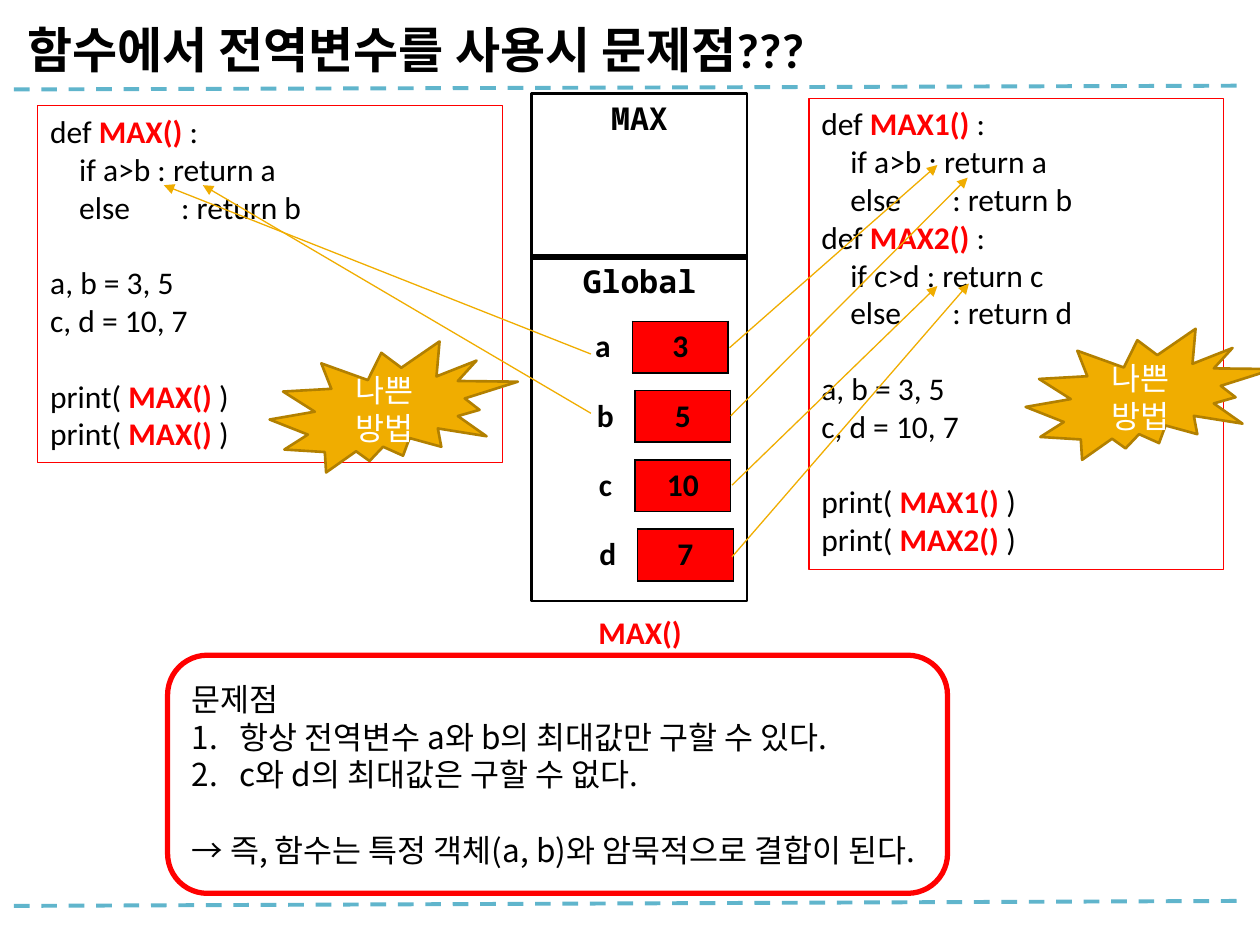
from lxml import etree
from pptx import Presentation
from pptx.dml.color import RGBColor
from pptx.enum.dml import MSO_LINE
from pptx.enum.shapes import MSO_CONNECTOR, MSO_SHAPE
from pptx.enum.text import MSO_ANCHOR, PP_ALIGN
from pptx.oxml.ns import qn
from pptx.util import Inches, Pt

TOP, MIDDLE, BOTTOM = MSO_ANCHOR.TOP, MSO_ANCHOR.MIDDLE, MSO_ANCHOR.BOTTOM
LEFT, CENTER = PP_ALIGN.LEFT, PP_ALIGN.CENTER
RECTANGLE, ROUNDED = MSO_SHAPE.RECTANGLE, MSO_SHAPE.ROUNDED_RECTANGLE
BURST = MSO_SHAPE.EXPLOSION2
STRAIGHT = MSO_CONNECTOR.STRAIGHT
DASH = MSO_LINE.DASH

COLORS = {
    "black": "000000", "white": "FFFFFF", "red": "FF0000",
    "rule": "60B5CC", "gold": "F0AD00", "gold_edge": "B28000",
}
BODY, MONO, KOREAN = "Calibri", "Noto Sans Mono", "Noto Sans CJK KR"
BLANK_LINE = Pt(21.6)


def color(name):
    return RGBColor.from_string(COLORS[name])


class SlideBuilder:
    def __init__(self, slide):
        self.slide = slide

    def style(self, paragraph, font=BODY, ink="black", bold=False, size=18, align=LEFT):
        paragraph.alignment = align
        paragraph.font.name = font
        paragraph.font.size = Pt(size)
        paragraph.font.bold = bold
        paragraph.font.color.rgb = color(ink)

    def fill_text(self, frame, lines, **style):
        paragraph, gap = frame.paragraphs[0], False
        for index, line in enumerate(lines):
            if not line:
                gap = True
                continue
            if index:
                paragraph = frame.add_paragraph()
            self.style(paragraph, **style)
            if gap:
                paragraph.space_before, gap = BLANK_LINE, False
            properties = paragraph._p.get_or_add_pPr()
            if line.startswith("# "):
                line = line[2:]
                properties.set("marL", str(Inches(0.38)))
                properties.set("indent", str(-Inches(0.38)))
                numbering = etree.Element(qn("a:buAutoNum"), type="arabicPeriod")
                properties.find(qn("a:defRPr")).addprevious(numbering)
            elif line.startswith(" "):
                line = line.strip()
                properties.set("marL", str(Inches(0.23)))
                if "\t" in line:
                    tabs = etree.Element(qn("a:tabLst"))
                    etree.SubElement(tabs, qn("a:tab"), pos=str(Inches(0.81)), algn="l")
                    properties.find(qn("a:defRPr")).addprevious(tabs)
            for position, piece in enumerate(line.split("*")):
                if piece:
                    run = paragraph.add_run()
                    run.text = piece
                    if position % 2:
                        run.font.bold = True
                        run.font.color.rgb = color("red")

    def title(self, text):
        title = self.slide.shapes.title
        title.left, title.top = Inches(0.12), Inches(0)
        title.width, title.height = Inches(9.76), Inches(0.67)
        title.text_frame.vertical_anchor = BOTTOM
        self.fill_text(title.text_frame, [text], size=28, bold=True)

    def box(self, kind, area, lines, edge, weight, fill=None, alpha=None, anchor=TOP, **style):
        shape = self.slide.shapes.add_shape(kind, *map(Inches, area))
        shape.shadow.inherit = False
        if fill:
            shape.fill.solid()
            shape.fill.fore_color.rgb = color(fill)
        else:
            shape.fill.background()
        if alpha:
            value = shape._element.spPr.find(".//" + qn("a:srgbClr"))
            etree.SubElement(value, qn("a:alpha"), val=str(alpha * 1000))
        shape.line.color.rgb = color(edge)
        shape.line.width = Pt(weight)
        shape.text_frame.word_wrap = True
        shape.text_frame.vertical_anchor = anchor
        self.fill_text(shape.text_frame, lines, **style)

    def label(self, area, text, **style):
        frame = self.slide.shapes.add_textbox(*map(Inches, area)).text_frame
        frame.word_wrap = True
        self.fill_text(frame, [text], **style)

    def line(self, start, end, ink, weight, dashed=False, arrow=False):
        connector = self.slide.shapes.add_connector(STRAIGHT, *map(Inches, start + end))
        connector.line.color.rgb = color(ink)
        connector.line.width = Pt(weight)
        if dashed:
            connector.line.dash_style = DASH
        if arrow:
            outline = connector._element.spPr.find(qn("a:ln"))
            etree.SubElement(outline, qn("a:tailEnd"), type="triangle")
        etree.SubElement(connector._element.spPr, qn("a:effectLst"))

    def borders(self, cell, sides):
        properties = cell._tc.get_or_add_tcPr()
        for index, side in enumerate("LRTB"):
            border = etree.Element(qn("a:ln" + side), w=str(Pt(1)))
            if side in sides:
                fill = etree.SubElement(border, qn("a:solidFill"))
                etree.SubElement(fill, qn("a:srgbClr"), val=COLORS["black"])
            else:
                etree.SubElement(border, qn("a:noFill"))
            properties.insert(index, border)

    def variable(self, left, top, name, value):
        area = map(Inches, (left, top, 1.23, 0.41))
        table = self.slide.shapes.add_table(1, 2, *area).table
        table.first_row = table.horz_banding = False
        table.columns[0].width, table.columns[1].width = Inches(0.47), Inches(0.76)
        name_cell, value_cell = table.cell(0, 0), table.cell(0, 1)
        name_cell.fill.background()
        value_cell.fill.solid()
        value_cell.fill.fore_color.rgb = color("red")
        for cell, text, sides in ((name_cell, name, "R"), (value_cell, value, "LRTB")):
            cell.margin_left = cell.margin_right = cell.margin_top = cell.margin_bottom = 0
            cell.vertical_anchor = MIDDLE
            self.fill_text(cell.text_frame, [text], bold=True, align=CENTER)
            self.borders(cell, sides)


def function(name, first, second):
    return [f"def *{name}() *:", f" if {first}>{second} : return {first}",
            f" else\t: return {second}"]


def program(functions, calls):
    prints = [f"print( *{name}() *)" for name in calls]
    return functions + ["", "a, b = 3, 5", "c, d = 10, 7", ""] + prints


def main():
    presentation = Presentation()
    presentation.slide_width, presentation.slide_height = Inches(10), Inches(7.5)
    slide = presentation.slides.add_slide(presentation.slide_layouts[5])
    builder = SlideBuilder(slide)

    for left_y, right_y in ((0.71, 0.68), (7.19, 7.15)):
        builder.line((0.11, left_y), (9.87, right_y), "rule", 2.25, dashed=True)
    builder.title("함수에서 전역변수를 사용시 문제점???")

    builder.box(RECTANGLE, (0.3, 0.84, 3.69, 2.83),
                program(function("MAX", "a", "b"), ["MAX", "MAX"]), "red", 0.75)
    for name, top, height in (("Global", 2.03, 2.74), ("MAX", 0.74, 1.31)):
        builder.box(RECTANGLE, (4.22, top, 1.71, height), [name], "black", 1.5,
                    font=MONO, bold=True, align=CENTER)
    variables = ((4.55, "a", "3"), (4.57, "b", "5"), (4.57, "c", "10"), (4.59, "d", "7"))
    for row, (left, name, value) in enumerate(variables):
        builder.variable(left, 2.55 + 0.55 * row, name, value)
    builder.label((4.53, 4.82, 1.1, 0.4), "MAX()", ink="red", bold=True, align=CENTER)

    builder.box(ROUNDED, (1.33, 5.2, 6.19, 1.89),
                ["문제점", "# 항상 전역변수 a와 b의 최대값만 구할 수 있다.",
                 "# c와 d의 최대값은 구할 수 없다.", "",
                 "→ 즉, 함수는 특정 객체(a, b)와 암묵적으로 결합이 된다."],
                "red", 3, fill="white", alpha=20, anchor=MIDDLE, font=KOREAN)
    builder.box(RECTANGLE, (6.42, 0.78, 3.29, 3.74),
                program(function("MAX1", "a", "b") + function("MAX2", "c", "d"),
                        ["MAX1", "MAX2"]), "red", 0.75)

    arrows = (
        ((4.69, 2.81), (1.3, 1.47)), ((4.69, 3.28), (1.61, 1.47)),
        ((5.79, 2.76), (7.44, 1.31)), ((5.8, 3.3), (7.68, 1.41)),
        ((5.81, 4.42), (7.69, 2.25)), ((5.81, 3.85), (7.44, 2.27)),
    )
    for start, end in arrows:
        builder.line(start, end, "gold", 0.75, arrow=True)
    for left, top in ((8.14, 2.61), (2.14, 2.71)):
        builder.box(BURST, (left, top, 1.97, 1.04), ["나쁜", "방법"], "gold_edge", 1.5,
                    fill="gold", anchor=MIDDLE, ink="white", align=CENTER)

    presentation.save("out.pptx")


if __name__ == "__main__":
    main()
